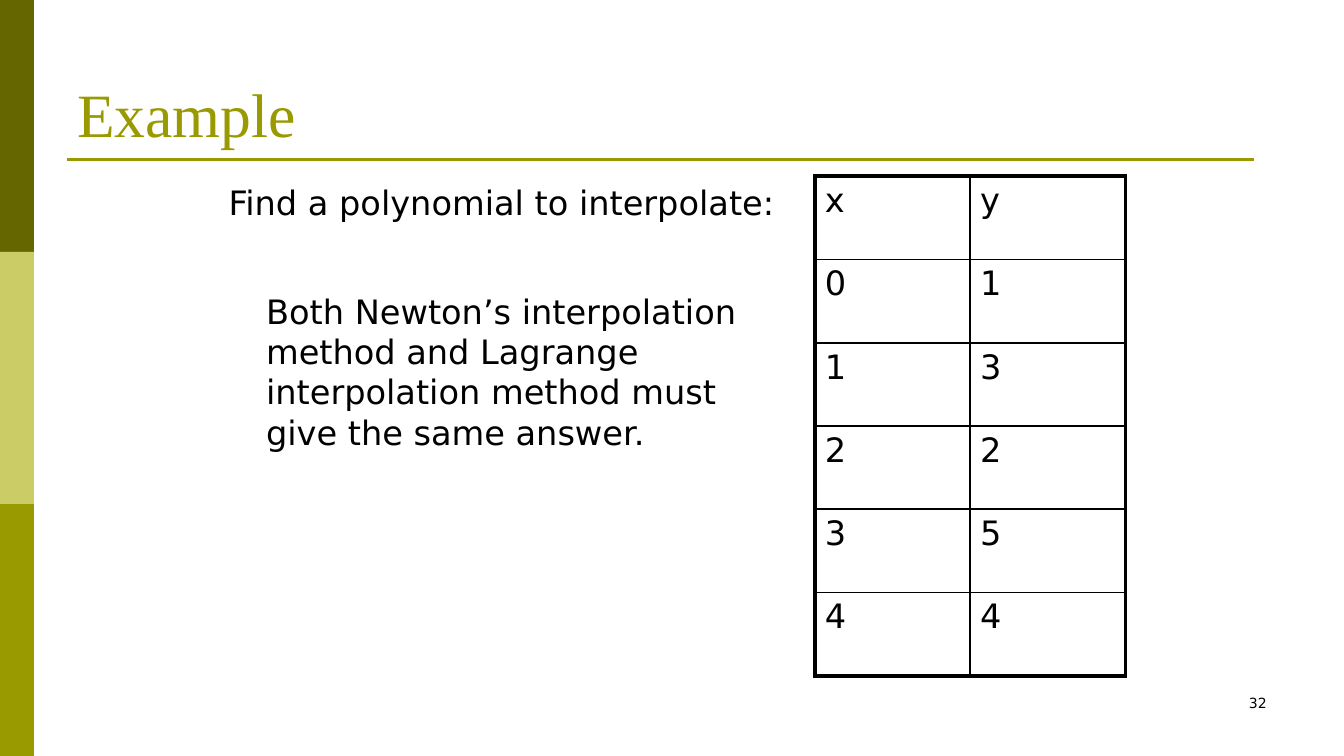
from lxml import etree
from pptx import Presentation
from pptx.dml.color import RGBColor
from pptx.enum.shapes import MSO_CONNECTOR, MSO_SHAPE
from pptx.enum.text import MSO_ANCHOR, PP_ALIGN
from pptx.oxml.ns import qn
from pptx.util import Cm, Pt

RECT, LINE = MSO_SHAPE.RECTANGLE, MSO_CONNECTOR.STRAIGHT
TOP, BOTTOM = MSO_ANCHOR.TOP, MSO_ANCHOR.BOTTOM
LEFT, RIGHT = PP_ALIGN.LEFT, PP_ALIGN.RIGHT
SANS, SERIF = "DejaVu Sans", "Times New Roman"
COLORS = {"dark": "666600", "light": "CCCC66", "olive": "999900", "ink": "000000"}
WIDTH, HEIGHT = 25.4, 14.29
PAD_X, PAD_Y = 0.19, 0.1
POINTS = [("x", "y"), (0, 1), (1, 3), (2, 2), (3, 5), (4, 4)]


def color(name):
    return RGBColor.from_string(COLORS[name])


def style(para, size, font=SANS, tint="ink"):
    for run in para.runs:
        run.font.size = Pt(size)
        run.font.name = font
        run.font.color.rgb = color(tint)


def add_text(slide, box, text, anchor=TOP):
    frame = slide.shapes.add_textbox(*map(Cm, box)).text_frame
    frame.word_wrap = True
    frame.vertical_anchor = anchor
    frame.margin_left = frame.margin_right = Cm(PAD_X)
    frame.margin_top = frame.margin_bottom = Cm(PAD_Y)
    frame.text = text
    return frame


# Side band: equal blocks stacked from top to bottom
def add_band(slide, box):
    left, top, width, height = box
    tints = ("dark", "light", "olive")
    step = height / len(tints)
    for i, tint in enumerate(tints):
        part = slide.shapes.add_shape(
            RECT, Cm(left), Cm(top + i * step), Cm(width), Cm(step))
        part.shadow.inherit = False
        part.fill.solid()
        part.fill.fore_color.rgb = color(tint)
        part.line.fill.background()


# Title with a rule just below it
def add_title(slide, box):
    frame = add_text(slide, box, "Example", BOTTOM)
    style(frame.paragraphs[0], 33, SERIF, "olive")
    left, top, width, height = box
    y = Cm(top + height + 0.08)
    rule = slide.shapes.add_connector(LINE, Cm(left), y, Cm(left + width - 0.43), y)
    rule.line.color.rgb = color("olive")
    rule.line.width = Pt(1.5)
    etree.SubElement(rule.element.spPr, qn("a:effectLst"))


# Task and remark, the remark indented
def add_body(slide, box):
    frame = add_text(slide, box, "Find a polynomial to interpolate:")
    task, note = frame.paragraphs[0], frame.add_paragraph()
    note.text = ("Both Newton’s interpolation method and Lagrange "
                 "interpolation method must give the same answer.")
    task.space_before, note.space_before = Pt(3.6), Pt(37)
    note._p.get_or_add_pPr().set("marL", str(Cm(0.71)))
    for para in (task, note):
        para.alignment = LEFT
        style(para, 18)


def set_edge(cell, side, width):
    edge = etree.SubElement(
        cell._tc.get_or_add_tcPr(), qn("a:ln" + side), w=str(Pt(width)))
    fill = etree.SubElement(edge, qn("a:solidFill"))
    etree.SubElement(fill, qn("a:srgbClr"), val=COLORS["ink"])


# Table of points: thick frame, thin inner lines
def add_points(slide, box):
    rows, cols = len(POINTS), len(POINTS[0])
    table = slide.shapes.add_table(rows, cols, *map(Cm, box)).table
    table.first_row = table.horz_banding = False
    for r, point in enumerate(POINTS):
        for c, value in enumerate(point):
            cell = table.cell(r, c)
            cell.text = str(value)
            cell.margin_left = cell.margin_right = Cm(PAD_X)
            cell.margin_top = cell.margin_bottom = Cm(PAD_Y)
            style(cell.text_frame.paragraphs[0], 18)
            outer = {"L": c == 0, "R": c == cols - 1, "T": r == 0, "B": r == rows - 1}
            for side, thick in outer.items():
                set_edge(cell, side, 2.25 if thick else 1)
            cell.fill.background()


# Page number
def add_number(slide, box):
    para = add_text(slide, box, "32").paragraphs[0]
    para.alignment = RIGHT
    style(para, 7.5)


def main():
    deck = Presentation()
    deck.slide_width, deck.slide_height = Cm(WIDTH), Cm(HEIGHT)
    slide = deck.slides.add_slide(deck.slide_layouts[6])
    add_band(slide, (0, 0, 0.64, HEIGHT))
    add_title(slide, (1.27, 0.58, 22.86, 2.36))
    add_body(slide, (4.13, 3.33, 11.11, 9.45))
    add_points(slide, (15.4, 3.33, 5.87, 9.45))
    add_number(slide, (18.2, 13.02, 5.93, 0.95))
    deck.save("out.pptx")


if __name__ == "__main__":
    main()
